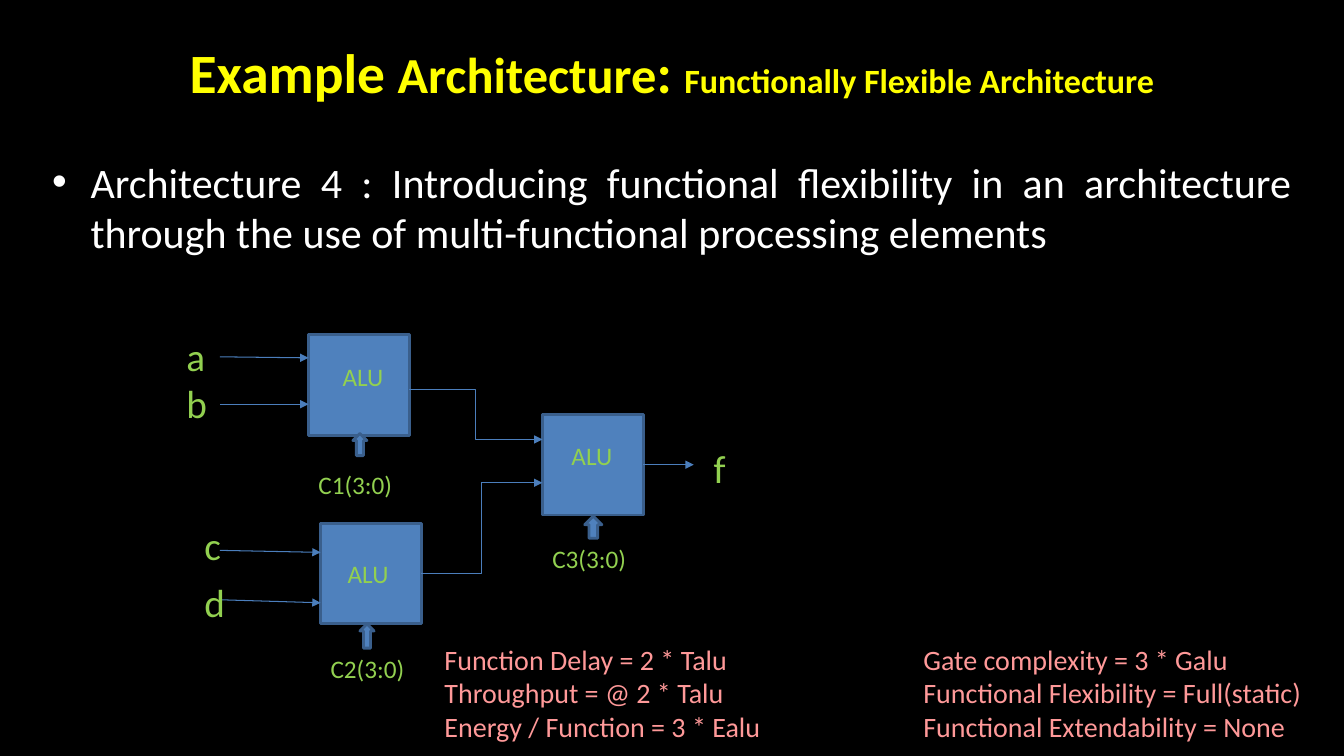
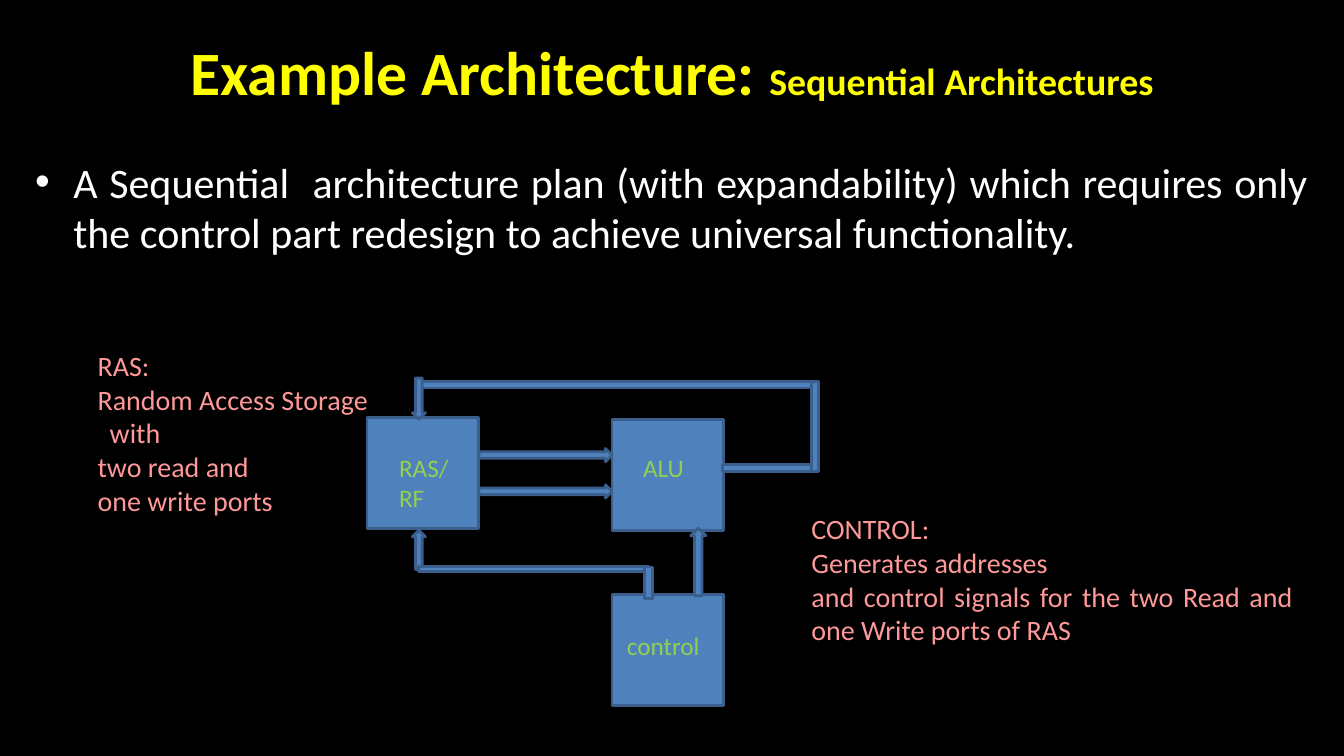
import pptx
import pptx.util
import pptx.dml.color
import pptx.enum.shapes
import pptx.enum.text
import pptx.oxml
import pptx.oxml.ns
import lxml.etree

Inches, Pt = pptx.util.Inches, pptx.util.Pt
SHAPE = pptx.enum.shapes.MSO_SHAPE
LINK = pptx.enum.shapes.MSO_CONNECTOR
ALIGN = pptx.enum.text.PP_ALIGN
ANCHOR = pptx.enum.text.MSO_ANCHOR
qn = pptx.oxml.ns.qn

COLORS = {
    "background": "000000",
    "title": "FFFF00",
    "body": "FFFFFF",
    "label": "92D050",
    "note": "FF9999",
    "block": "4F81BD",
    "outline": "3A5F8C",
    "wire": "4B7EBC",
}


def rgb(name):
    return pptx.dml.color.RGBColor.from_string(COLORS[name])


class Deck:
    """Holds the shared style and the current slide."""

    font = "Calibri"

    def __init__(self):
        self.prs = pptx.Presentation()
        self.prs.slide_width = Inches(13.33)
        self.prs.slide_height = Inches(7.5)
        self.s = None

    def slide(self, title_runs):
        self.s = self.prs.slides.add_slide(self.prs.slide_layouts[6])
        fill = self.s.background.fill
        fill.solid()
        fill.fore_color.rgb = rgb("background")
        tf = self.frame(1.25, 0.08, 10.83, 1.25)
        tf.vertical_anchor = ANCHOR.MIDDLE
        p = tf.paragraphs[0]
        p.alignment = ALIGN.CENTER
        for text, size in title_runs:
            self.run(p, text, size, "title", bold=True)

    def frame(self, x, y, w, h):
        sp = self.s.shapes.add_textbox(Inches(x), Inches(y), Inches(w), Inches(h))
        sp.text_frame.word_wrap = True
        return sp.text_frame

    def run(self, p, text, size, color, bold=False):
        r = p.add_run()
        r.text = text
        r.font.name = self.font
        r.font.size = Pt(size)
        r.font.bold = bold
        r.font.color.rgb = rgb(color)

    def bullet(self, text, x, w):
        p = self.frame(x, 1.5, w, 1.3).paragraphs[0]
        p.alignment = ALIGN.JUSTIFY
        p.space_before = Pt(6)
        self.run(p, text, 30, "body")
        pPr = p._p.get_or_add_pPr()
        pPr.set("marL", str(Inches(0.38)))
        pPr.set("indent", str(-Inches(0.38)))
        lxml.etree.SubElement(pPr, qn("a:buFont")).set("typeface", "Arial")
        lxml.etree.SubElement(pPr, qn("a:buChar")).set("char", "•")

    def text(self, lines, x, y, w, h, size, color, align=ALIGN.LEFT, indents=None):
        """Write one paragraph per line; indents maps a line number to inches."""
        tf = self.frame(x, y, w, h)
        for i, line in enumerate(lines):
            p = tf.paragraphs[0] if i == 0 else tf.add_paragraph()
            p.alignment = align
            if indents and i in indents:
                p._p.get_or_add_pPr().set("marL", str(Inches(indents[i])))
            self.run(p, line, size, color)

    def label(self, text, x, y, w=1.1, h=0.4):
        self.text([text], x, y, w, h, 18, "label")

    def signal(self, names, x, y):
        self.text(names, x, y, 0.5, 0.57 * len(names), 28, "label")

    def note(self, lines, x, y, w, h, **options):
        self.text(lines, x, y, w, h, 20, "note", **options)

    def shape(self, kind, x, y, w, h, rotation=0):
        sp = self.s.shapes.add_shape(kind, Inches(x), Inches(y), Inches(w), Inches(h))
        sp.rotation = rotation
        sp.shadow.inherit = False
        sp.fill.solid()
        sp.fill.fore_color.rgb = rgb("block")
        sp.line.color.rgb = rgb("outline")
        sp.line.width = Pt(2)

    def wire(self, x1, y1, x2, y2, kind=LINK.STRAIGHT):
        c = self.s.shapes.add_connector(
            kind, Inches(x1), Inches(y1), Inches(x2), Inches(y2))
        c.line.color.rgb = rgb("wire")
        c.line.width = Pt(0.75)
        tail = lxml.etree.SubElement(c.line._get_or_add_ln(), qn("a:tailEnd"))
        tail.set("type", "triangle")
        lxml.etree.SubElement(c._element.spPr, qn("a:effectLst"))


def flexible_architecture(d):
    d.slide([("Example ", 39.6), ("Architecture", 36), (": ", 39.6),
             ("Functionally Flexible Architecture", 24.3)])
    d.bullet("Architecture 4 : Introducing functional flexibility in an architecture "
             "through the use of multi-functional processing elements", 0.42, 12.5)

    # ALU blocks
    for x, y in [(3.06, 3.32), (3.18, 5.19), (5.38, 4.11)]:
        d.shape(SHAPE.RECTANGLE, x, y, 1, 1)

    # Wires
    for y1, x2, y2 in [(3.54, 3.06, 3.55), (4.01, 3.06, 4.01),
                       (5.46, 3.18, 5.48), (5.95, 3.18, 5.98)]:
        d.wire(2.18, y1, x2, y2)
    d.wire(4.06, 3.86, 5.38, 4.36, LINK.ELBOW)
    d.wire(4.18, 5.69, 5.38, 4.79, LINK.ELBOW)
    d.wire(6.38, 4.61, 6.88, 4.61)

    # Control inputs
    for x, y, w, h in [(3.5, 4.3, 0.14, 0.22), (3.57, 6.19, 0.14, 0.24),
                       (5.8, 5.12, 0.17, 0.22)]:
        d.shape(SHAPE.UP_ARROW, x, y, w, h)
    for text, x, y in [("C1(3:0)", 3.06, 4.61), ("C2(3:0)", 3.18, 6.43),
                       ("C3(3:0)", 5.38, 5.34)]:
        d.label(text, x, y)

    # Block and signal names
    for x, y in [(3.3, 3.54), (3.35, 5.49), (5.57, 4.32)]:
        d.label("ALU", x, y)
    for names, x, y in [(["a", "b"], 1.75, 3.25), (["c"], 1.93, 5.12),
                        (["d"], 1.93, 5.69), (["f"], 6.98, 4.36)]:
        d.signal(names, x, y)

    # Figures of merit
    d.note(["Function Delay = 2 * Talu", "Throughput = @ 2 * Talu",
            "Energy / Function = 3 * Ealu"], 4.31, 6.32, 4.5, 1.11)
    d.note(["Gate complexity = 3 * Galu", "Functional Flexibility = Full(static)",
            "Functional Extendability = None"], 9.06, 6.32, 4.2, 1.11)


def sequential_architecture(d):
    d.slide([("Example Architecture: ", 44), ("Sequential Architectures", 27)])
    d.bullet("A Sequential  architecture plan (with expandability) which requires only "
             "the control part redesign to achieve universal functionality.", 0.25, 12.83)

    # Storage, ALU and control blocks
    for x, y in [(3.64, 4.14), (6.07, 4.16), (6.07, 5.9)]:
        d.shape(SHAPE.RECTANGLE, x, y, 1.11, 1.1)

    # Read ports
    for y in (4.45, 4.81):
        d.shape(SHAPE.RIGHT_ARROW, 4.75, y, 1.32, 0.13)

    # Write-back path
    d.shape(SHAPE.MATH_MINUS, 3.42, 3.67, 5.4, 0.29)
    d.shape(SHAPE.DOWN_ARROW, 4.09, 3.75, 0.13, 0.41)
    d.shape(SHAPE.MATH_MINUS, 7, 4.49, 1.28, 0.31)
    d.shape(SHAPE.MATH_MINUS, 8.04, 2.33, 0.09, 3.8)

    # Control paths
    d.shape(SHAPE.UP_ARROW, 6.85, 5.24, 0.15, 0.67)
    d.shape(SHAPE.UP_ARROW, 4.09, 5.26, 0.13, 0.39)
    d.shape(SHAPE.MATH_MINUS, 3.74, 5.54, 3.11, 0.21)
    d.shape(SHAPE.MATH_MINUS, 6.22, 5.62, 0.42, 0.32, rotation=90)

    # Block names
    d.label("ALU", 6.28, 4.44)
    d.label("control", 6.12, 6.2)
    d.label("RAS/RF", 3.86, 4.44, 0.74, 0.71)

    # Explanations
    d.note(["RAS:", "Random Access Storage", "with", "two read and",
            "one write ports"], 0.87, 3.41, 3.3, 1.78, indents={2: 0.12})
    d.note(["CONTROL:", "Generates addresses",
            "and control signals for the two Read and one Write ports of RAS"],
           7.95, 5.03, 4.97, 1.45, align=ALIGN.JUSTIFY)


def main():
    d = Deck()
    flexible_architecture(d)
    sequential_architecture(d)
    d.prs.save("out.pptx")


if __name__ == "__main__":
    main()
